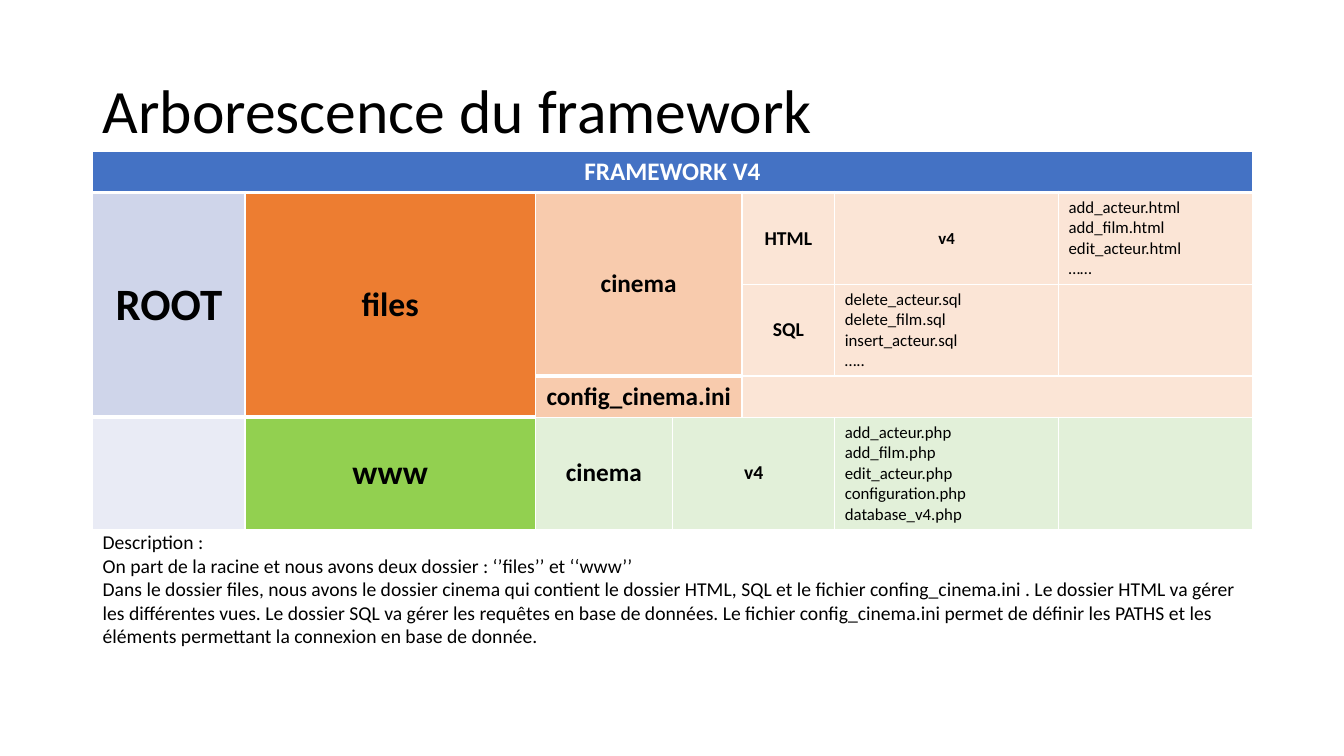
from lxml.etree import SubElement
from pptx import Presentation
from pptx.dml.color import RGBColor
from pptx.enum.text import MSO_ANCHOR, PP_ALIGN
from pptx.oxml.ns import qn
from pptx.util import Inches, Pt

FONT = "Calibri"
LEFT, WIDTH = 0.92, 11.5
COLS = [1.51, 2.88, 1.36, 0.69, 0.92, 2.22, 1.92]
ROWS = [0.41, 0.91, 0.91, 0.41, 1.11]

BLACK, WHITE = "000000", "FFFFFF"
BLUE, BLUE_MID, BLUE_PALE = "4472C4", "CFD5EA", "E9EBF5"
ORANGE, ORANGE_MID, ORANGE_PALE = "ED7D31", "F8CBAD", "FBE5D6"
GREEN, GREEN_PALE = "92D050", "E2F0D9"

HTML_FILES = ["add_acteur.html", "add_film.html", "edit_acteur.html", "……"]
SQL_FILES = ["delete_acteur.sql", "delete_film.sql", "insert_acteur.sql", "….."]
PHP_FILES = ["add_acteur.php", "add_film.php", "edit_acteur.php",
             "configuration.php", "database_v4.php"]

# Folder names: row, column, row span, column span, fill, text, size
FOLDERS = [
    (0, 0, 1, 7, BLUE, "FRAMEWORK V4", 18),
    (1, 0, 3, 1, BLUE_MID, "ROOT", 32),
    (1, 1, 3, 1, ORANGE, "files", 24),
    (1, 2, 2, 2, ORANGE_MID, "cinema", 18),
    (1, 4, 1, 1, ORANGE_PALE, "HTML", 14),
    (1, 5, 1, 1, ORANGE_PALE, "v4", 12),
    (2, 4, 1, 1, ORANGE_PALE, "SQL", 14),
    (3, 2, 1, 2, ORANGE_MID, "config_cinema.ini", 18),
    (4, 1, 1, 1, GREEN, "www", 24),
    (4, 2, 1, 1, GREEN_PALE, "cinema", 18),
    (4, 3, 1, 2, GREEN_PALE, "v4", 14),
]
# File lists and empty cells: row, column, row span, column span, fill, lines
FILES = [
    (1, 6, 1, 1, ORANGE_PALE, HTML_FILES),
    (2, 5, 1, 1, ORANGE_PALE, SQL_FILES),
    (2, 6, 1, 1, ORANGE_PALE, []),
    (3, 4, 1, 3, ORANGE_PALE, []),
    (4, 0, 1, 1, BLUE_PALE, []),
    (4, 5, 1, 1, GREEN_PALE, PHP_FILES),
    (4, 6, 1, 1, GREEN_PALE, []),
]

DESCRIPTION = [
    "Description :",
    "On part de la racine et nous avons deux dossier : ‘’files’’ et ‘‘www’’",
    "Dans le dossier files, nous avons le dossier cinema qui contient le dossier "
    "HTML, SQL et le fichier confing_cinema.ini . Le dossier HTML va gérer les "
    "différentes vues. Le dossier SQL va gérer les requêtes en base de données. "
    "Le fichier config_cinema.ini permet de définir les PATHS et les éléments "
    "permettant la connexion en base de donnée.",
]


def rgb(color):
    return RGBColor.from_string(color)


def write(tf, lines, size, color=BLACK, bold=False, align=PP_ALIGN.LEFT, spacing=1.0):
    for i, line in enumerate(lines):
        p = tf.add_paragraph() if i else tf.paragraphs[0]
        p.alignment = align
        p.line_spacing = spacing
        r = p.add_run()
        r.text = line
        r.font.name = FONT
        r.font.size = Pt(size)
        r.font.bold = bold
        r.font.color.rgb = rgb(color)


def add_text(s, top, height, lines, size, anchor=MSO_ANCHOR.TOP, spacing=1.0):
    sp = s.shapes.add_textbox(Inches(LEFT), Inches(top), Inches(WIDTH), Inches(height))
    tf = sp.text_frame
    tf.word_wrap = True
    tf.vertical_anchor = anchor
    write(tf, lines, size, spacing=spacing)


def add_border(cell, side, points):
    ln = SubElement(cell._tc.get_or_add_tcPr(), qn(f"a:ln{side}"), w=str(Pt(points)))
    fill = SubElement(ln, qn("a:solidFill"))
    SubElement(fill, qn("a:srgbClr"), val=WHITE)


def add_block(table, row, col, row_span, col_span, fill):
    """Merge a block of cells, outline and fill it, and return its first cell."""
    last_row, last_col = row + row_span - 1, col + col_span - 1
    first = table.cell(row, col)
    if row_span * col_span > 1:
        first.merge(table.cell(last_row, last_col))
    for r in range(row, last_row + 1):
        for c in range(col, last_col + 1):
            cell = table.cell(r, c)
            edges = [("L", c == col, 1), ("R", c == last_col, 1),
                     ("T", r == row, 3 if r == 1 else 1),
                     ("B", r == last_row, 3 if r == 0 else 1)]
            for side, outer, points in edges:
                if outer:
                    add_border(cell, side, points)
            cell.fill.solid()
            cell.fill.fore_color.rgb = rgb(fill)
    first.vertical_anchor = MSO_ANCHOR.MIDDLE
    return first


def add_tree(s):
    table = s.shapes.add_table(len(ROWS), len(COLS), Inches(LEFT), Inches(1.5),
                               Inches(WIDTH), Inches(sum(ROWS))).table
    table.first_row = table.horz_banding = False
    for column, width in zip(table.columns, COLS):
        column.width = Inches(width)
    for row, height in zip(table.rows, ROWS):
        row.height = Inches(height)

    for *block, text, size in FOLDERS:
        cell = add_block(table, *block)
        color = WHITE if block[0] == 0 else BLACK
        write(cell.text_frame, [text], size, color, True, PP_ALIGN.CENTER)
    for *block, lines in FILES:
        write(add_block(table, *block).text_frame, lines, 12)


def main():
    prs = Presentation()
    prs.slide_width, prs.slide_height = Inches(13.33), Inches(7.5)
    s = prs.slides.add_slide(prs.slide_layouts[6])

    # Title
    add_text(s, 0.4, 1.45, ["Arborescence du framework"], 44, MSO_ANCHOR.MIDDLE, 0.9)
    # Folder tree
    add_tree(s)
    # Description
    add_text(s, 5.21, 1.82, DESCRIPTION, 14)

    prs.save("out.pptx")


main()
